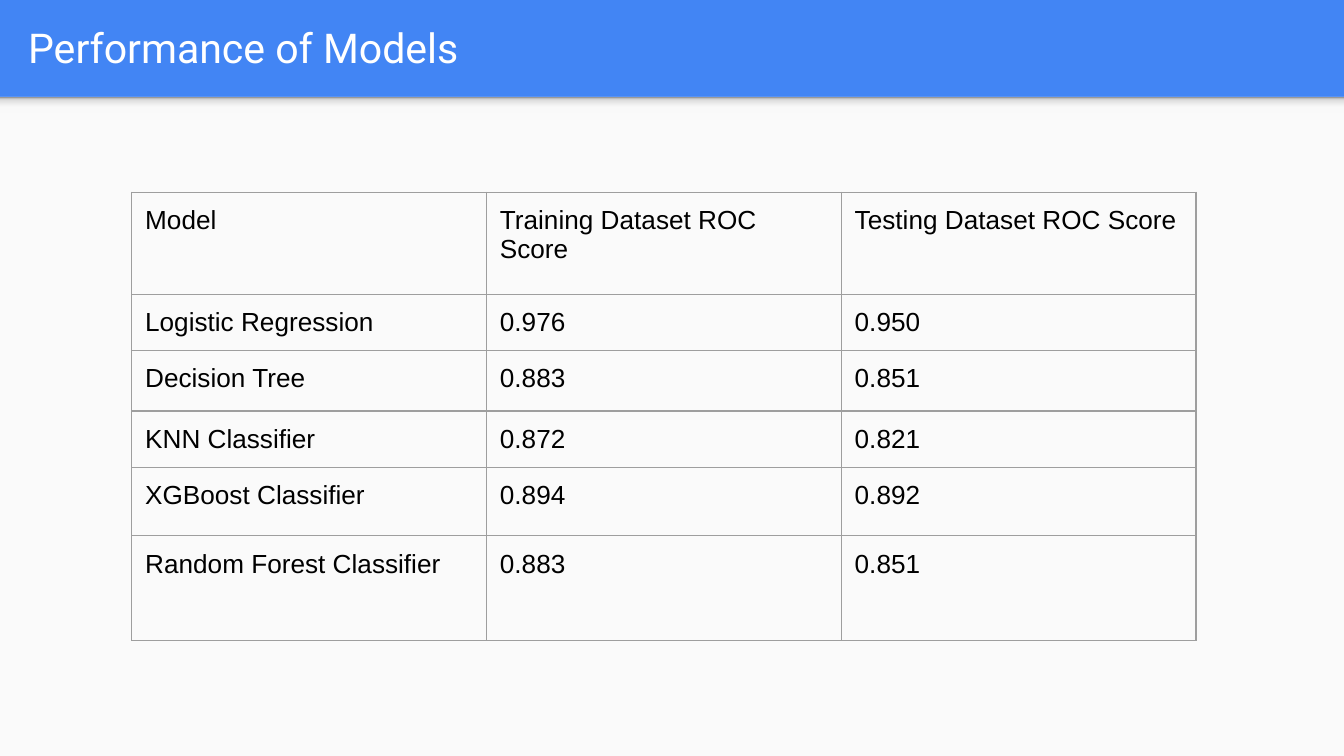
"""Build a slide with a table of ROC scores for five classification models."""
from lxml import etree
from pptx import Presentation
from pptx import util as u
from pptx.dml.color import RGBColor
from pptx.enum import shapes, text
from pptx.oxml import ns

BLUE = RGBColor(0x42, 0x85, 0xF4)
PAPER = RGBColor(0xFA, 0xFA, 0xFA)
WHITE = RGBColor(0xFF, 0xFF, 0xFF)
BLACK = RGBColor(0x00, 0x00, 0x00)
BORDER = RGBColor(0x9E, 0x9E, 0x9E)
SHADOW_STOPS = [
    (0, RGBColor(0xF9, 0xF9, 0xF9)),
    (36, RGBColor(0xF9, 0xF9, 0xF9)),
    (80, RGBColor(0xDE, 0xDE, 0xDE)),
    (100, RGBColor(0x99, 0x99, 0x99)),
]
INSETS = dict.fromkeys(
    ["margin_left", "margin_top", "margin_right", "margin_bottom"], u.Inches(0.1))
TITLE_FRAME = {
    **INSETS,
    "word_wrap": True,
    "auto_size": text.MSO_AUTO_SIZE.NONE,
    "vertical_anchor": text.MSO_ANCHOR.MIDDLE,
}
TITLE_FONT = {"name": "Roboto", "size": u.Pt(22), "bold": False}
CELL_FONT = {"name": "Arial", "size": u.Pt(14), "bold": False}
ROWS = [
    (0.76, "Model", "Training Dataset ROC Score", "Testing Dataset ROC Score"),
    (0.4, "Logistic Regression", "0.976", "0.950"),
    (0.45, "Decision Tree", "0.883", "0.851"),
    (0.4, "KNN Classifier", "0.872", "0.821"),
    (0.51, "XGBoost Classifier", "0.894", "0.892"),
    (0.78, "Random Forest Classifier", "0.883", "0.851"),
]


def apply_format(target, values):
    """Set every attribute named in values on target."""
    for name, value in values.items():
        setattr(target, name, value)


def add_child(parent, tag, **attributes):
    """Append a DrawingML element to parent and return it."""
    return etree.SubElement(parent, ns.qn(tag), attributes)


presentation = Presentation()
presentation.slide_width = u.Inches(10)
presentation.slide_height = presentation.slide_width * 9 // 16
width, height = presentation.slide_width, presentation.slide_height
header_height = u.Inches(0.72)

slide = presentation.slides.add_slide(presentation.slide_layouts[5])
slide.background.fill.solid()
slide.background.fill.fore_color.rgb = BLUE

body, shadow = [
    slide.shapes.add_shape(
        shapes.MSO_SHAPE.RECTANGLE, 0, header_height, width, panel_height)
    for panel_height in (height - header_height, u.Inches(0.12))
]
for panel in (body, shadow):
    panel.shadow.inherit = False
    panel.line.fill.background()
body.fill.solid()
body.fill.fore_color.rgb = PAPER
shadow.fill.gradient()
shadow.fill.gradient_angle = 90
stop_list = next(shadow.element.iter(ns.qn("a:gsLst")))
for stop in list(stop_list):
    stop_list.remove(stop)
for position, color in SHADOW_STOPS:
    stop = add_child(stop_list, "a:gs", pos=str(position * 1000))
    add_child(stop, "a:srgbClr", val=str(color))

title = slide.shapes.title
apply_format(title, {"left": u.Inches(0.11), "top": u.Inches(0.02),
                     "width": u.Inches(9.65), "height": u.Inches(0.66)})
title.text_frame.text = "Performance of Models"
apply_format(title.text_frame, TITLE_FRAME)
paragraph = title.text_frame.paragraphs[0]
paragraph.alignment = text.PP_ALIGN.LEFT
apply_format(paragraph.runs[0].font, TITLE_FONT)
paragraph.runs[0].font.color.rgb = WHITE

column_width = u.Inches(2.64)
table = slide.shapes.add_table(
    len(ROWS), 3, u.Inches(0.98), u.Inches(1.43), 3 * column_width,
    u.Inches(sum(row[0] for row in ROWS))).table
apply_format(table, {"first_row": False, "horz_banding": False})
for column in table.columns:
    column.width = column_width
for row, (row_height, *labels) in zip(table.rows, ROWS):
    row.height = u.Inches(row_height)
    for cell, label in zip(row.cells, labels):
        cell.text = label
        apply_format(cell, INSETS)
        font = cell.text_frame.paragraphs[0].runs[0].font
        apply_format(font, CELL_FONT)
        font.color.rgb = BLACK
        properties = cell._tc.get_or_add_tcPr()
        for side in "LRTB":
            line = add_child(properties, f"a:ln{side}", w=str(u.Pt(0.75)))
            add_child(add_child(line, "a:solidFill"), "a:srgbClr", val=str(BORDER))
        cell.fill.background()

presentation.save("out.pptx")
